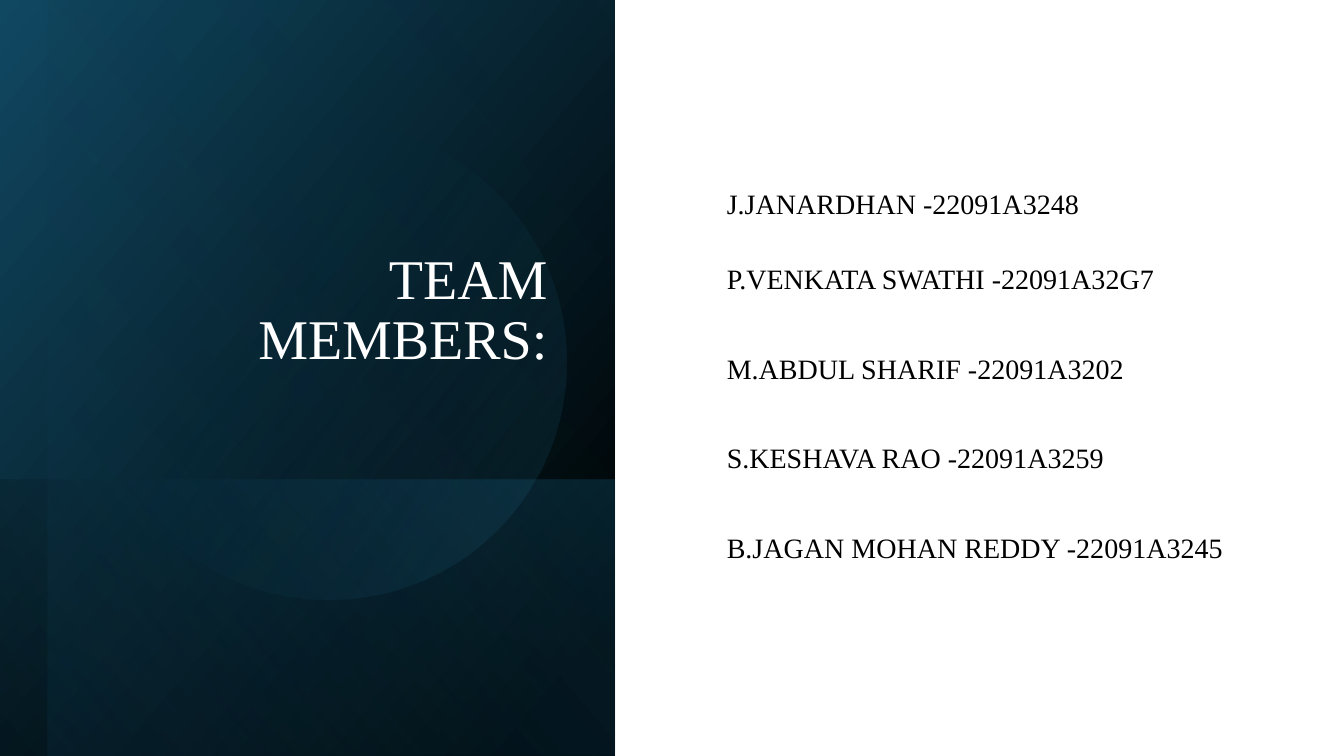
from lxml.etree import SubElement
from pptx import Presentation
from pptx.dml.color import RGBColor
from pptx.enum.shapes import MSO_SHAPE
from pptx.enum.text import MSO_ANCHOR, MSO_AUTO_SIZE, PP_ALIGN
from pptx.oxml.ns import qn
from pptx.util import Inches, Pt

BLACK = RGBColor(0x00, 0x00, 0x00)
WHITE = RGBColor(0xFF, 0xFF, 0xFF)
NAVY = RGBColor(0x10, 0x48, 0x62)
TEAL = RGBColor(0x15, 0x60, 0x82)
SKY = RGBColor(0x46, 0xB1, 0xE1)


def add_gradient_panel(kind, place, rotation, angle, stops, flip=True):
    panel = page.shapes.add_shape(kind, *[Inches(value) for value in place])
    panel.rotation = rotation
    panel.shadow.inherit = False
    panel.line.fill.background()
    panel.fill.background()
    properties = panel._element.spPr
    if flip:
        properties.find(qn("a:xfrm")).set("flipH", "1")
    # Gradient with an opacity for each stop
    plain = properties.find(qn("a:noFill"))
    gradient = properties.makeelement(qn("a:gradFill"), {"rotWithShape": "1"})
    properties.replace(plain, gradient)
    stop_list = SubElement(gradient, qn("a:gsLst"))
    for position, color, opacity in stops:
        stop = SubElement(stop_list, qn("a:gs"), pos=str(position * 1000))
        tint = SubElement(stop, qn("a:srgbClr"), val=str(color))
        SubElement(tint, qn("a:alpha"), val=str(opacity * 1000))
    SubElement(gradient, qn("a:lin"), ang=str(angle * 60000), scaled="0")


def write_line(para, text, size, color, align=PP_ALIGN.LEFT, before=0):
    para.alignment = align
    para.line_spacing = 0.9
    para.space_before = Pt(before)
    span = para.add_run()
    span.text = text
    span.font.name = "Times New Roman"
    span.font.size = Pt(size)
    span.font.color.rgb = color


deck = Presentation()
deck.slide_width = Inches(13.33)
deck.slide_height = Inches(7.5)
page = deck.slides.add_slide(deck.slide_layouts[5])
page.background.fill.solid()
page.background.fill.fore_color.rgb = WHITE

# Dark left side, built from layered gradients
add_gradient_panel(MSO_SHAPE.RECTANGLE, (-0.7, 0.7, 7.5, 6.1), 90, 50,
                   [(8, BLACK, 100), (100, NAVY, 100)])
add_gradient_panel(MSO_SHAPE.RECTANGLE, (1.67, 3.08, 2.74, 6.1), 90, 130,
                   [(2, TEAL, 29), (100, BLACK, 30)])
add_gradient_panel(MSO_SHAPE.RECTANGLE, (-0.46, 0.93, 7.5, 5.63), 90, 130,
                   [(0, BLACK, 0), (99, TEAL, 11)])
add_gradient_panel(MSO_SHAPE.OVAL, (0.9, 1.23, 4.72, 4.72), 101.6, 290,
                   [(39, TEAL, 0), (100, SKY, 15)], flip=False)

# Title, brought in front of the gradients
title = page.shapes.title
page.shapes._spTree.append(title._element)
title.left, title.top = Inches(0.9), Inches(0.64)
title.width, title.height = Inches(4.63), Inches(3.7)
frame = title.text_frame
frame.word_wrap = True
frame.auto_size = MSO_AUTO_SIZE.NONE
frame.vertical_anchor = MSO_ANCHOR.BOTTOM
frame.margin_bottom = Inches(0.65)
write_line(frame.paragraphs[0], "TEAM MEMBERS:", 40, WHITE, PP_ALIGN.RIGHT)

# Member list
members = [
    ("J.JANARDHAN -22091A3248", 0),
    ("P.VENKATA SWATHI -22091A32G7", 32),
    ("M.ABDUL SHARIF -22091A3202", 42.5),
    ("S.KESHAVA RAO -22091A3259", 42.5),
    ("B.JAGAN MOHAN REDDY -22091A3245", 42.5),
]
box = page.shapes.add_textbox(Inches(7.11), Inches(0.71), Inches(5.32), Inches(6.07))
frame = box.text_frame
frame.word_wrap = True
frame.vertical_anchor = MSO_ANCHOR.MIDDLE
for index, (member, before) in enumerate(members):
    para = frame.add_paragraph() if index else frame.paragraphs[0]
    write_line(para, member, 20, BLACK, before=before)

deck.save("out.pptx")
